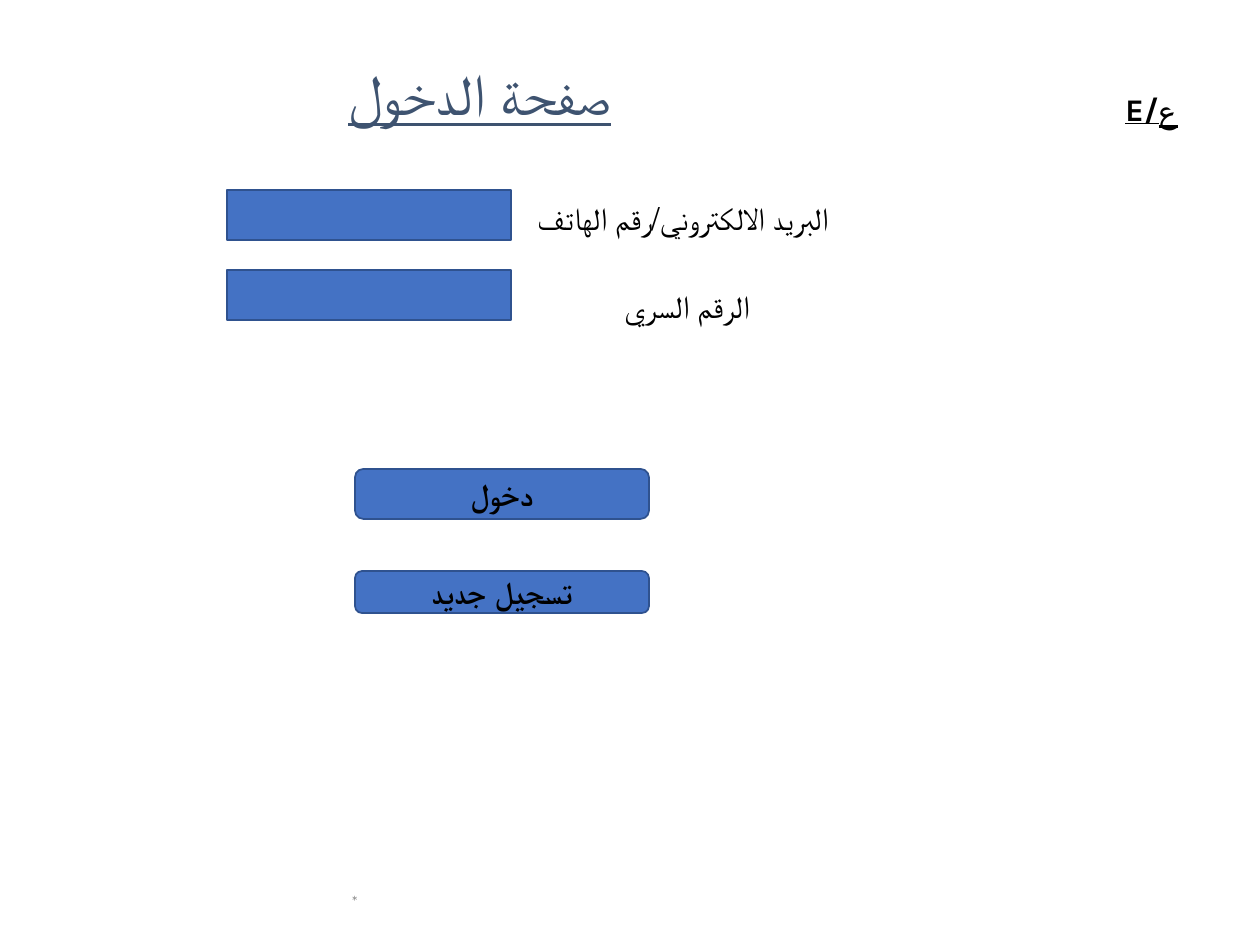
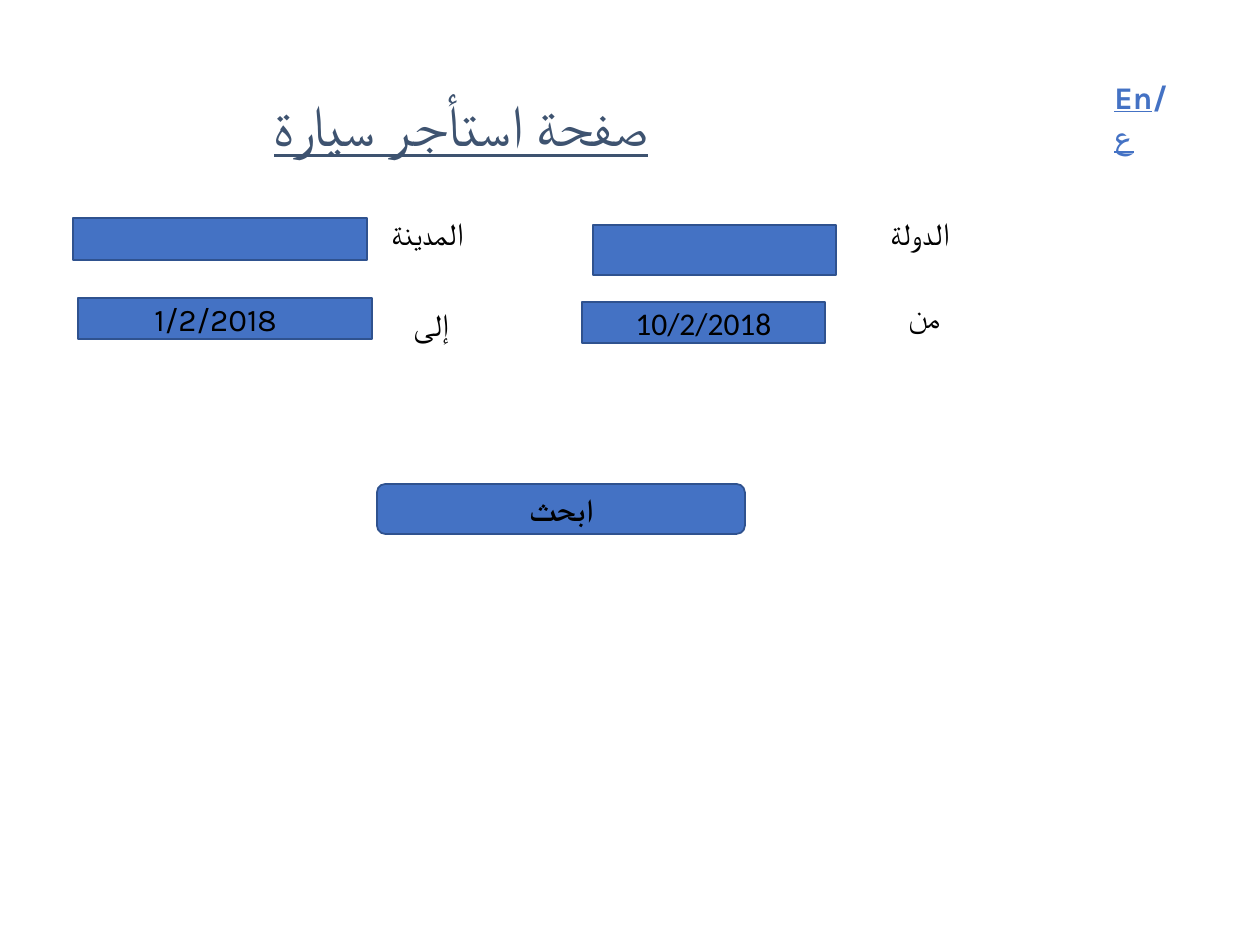
from dataclasses import dataclass

from pptx import Presentation
from pptx.dml.color import RGBColor
from pptx.enum.shapes import MSO_SHAPE as Preset
from pptx.enum.text import MSO_ANCHOR as Anchor, PP_ALIGN as Align
from pptx.util import Emu, Pt

EMU_PER_PX = 914400 / 126
ROW = 50


@dataclass(frozen=True)
class Theme:
    fill: RGBColor = RGBColor(0x44, 0x72, 0xC4)
    outline: RGBColor = RGBColor(0x2F, 0x52, 0x8F)
    title: RGBColor = RGBColor(0x3E, 0x53, 0x70)
    text: RGBColor = RGBColor(0, 0, 0)
    muted: RGBColor = RGBColor(0x89, 0x89, 0x89)
    heading_font: str = "Calibri"
    label_font: str = "Karla"
    title_size: int = 33
    body_size: int = 18
    footer_size: int = 9


THEME = Theme()


def px(*lengths):
    return [Emu(round(length * EMU_PER_PX)) for length in lengths]


def style_font(font, name, size, color, bold=False, underline=False):
    font.name = name
    font.size = Pt(size)
    font.color.rgb = color
    font.bold = bold
    font.underline = underline


def add_text_box(slide, box, anchor=Anchor.TOP):
    frame = slide.shapes.add_textbox(*px(*box)).text_frame
    frame.word_wrap = True
    frame.vertical_anchor = anchor
    return frame.paragraphs[0]


def add_title(slide, text, box):
    paragraph = add_text_box(slide, box, Anchor.MIDDLE)
    paragraph.text = text
    paragraph.line_spacing = 0.9
    style_font(paragraph.font, THEME.heading_font, THEME.title_size,
               THEME.title, underline=True)


def add_label(slide, text, left, top, width):
    paragraph = add_text_box(slide, (left, top, width, ROW))
    paragraph.text = text
    style_font(paragraph.font, THEME.label_font, THEME.body_size, THEME.text)


def add_language_switch(slide, parts, box, color):
    paragraph = add_text_box(slide, box)
    for text, underline in parts:
        run = paragraph.add_run()
        run.text = text
        style_font(run.font, THEME.label_font, THEME.body_size, color,
                   bold=True, underline=underline)


def add_footer_mark(slide, text, box):
    paragraph = add_text_box(slide, box, Anchor.MIDDLE)
    paragraph.text = text
    paragraph.alignment = Align.RIGHT
    style_font(paragraph.font, THEME.heading_font, THEME.footer_size, THEME.muted)


def add_field(slide, box, text="", preset=Preset.RECTANGLE, bold=False):
    shape = slide.shapes.add_shape(preset, *px(*box))
    shape.shadow.inherit = False
    shape.fill.solid()
    shape.fill.fore_color.rgb = THEME.fill
    shape.line.color.rgb = THEME.outline
    shape.line.width = Pt(1)
    if text:
        frame = shape.text_frame
        frame.word_wrap = True
        frame.vertical_anchor = Anchor.MIDDLE
        paragraph = frame.paragraphs[0]
        paragraph.text = text
        paragraph.alignment = Align.CENTER
        style_font(paragraph.font, THEME.heading_font, THEME.body_size,
                   THEME.text, bold=bold)


def add_button(slide, text, box):
    add_field(slide, box, text, Preset.ROUNDED_RECTANGLE, bold=True)


def build_login_page(slide):
    add_title(slide, "صفحة الدخول", (336, 18, 450, 158))
    add_footer_mark(slide, "*", (87, 876, 284, ROW))
    add_label(slide, "البريد الالكتروني/رقم الهاتف", 525, 193, 404)
    add_label(slide, "الرقم السري", 612, 281, 231)
    for top in (190, 270):
        add_field(slide, (227, top, 284, ROW))
    add_button(slide, "دخول", (355, 469, 294, ROW))
    add_button(slide, "تسجيل جديد", (355, 571, 294, 42))
    add_language_switch(slide, [("E/ع", True)], (1113, 84, 126, ROW), THEME.text)


def build_car_rental_page(slide):
    add_title(slide, "صفحة استأجر سيارة", (262, 49, 598, 158))
    add_language_switch(slide, [("En", True), ("/", False), ("ع", True)],
                        (1102, 72, 92, ROW), THEME.fill)
    add_field(slide, (73, 218, 294, 42))
    add_field(slide, (593, 225, 243, ROW))
    add_field(slide, (78, 298, 294, 41))
    add_field(slide, (582, 302, 243, 41), "10/2/2018")
    for text, left, top, width in (
        ("المدينة", 379, 208, 151),
        ("الدولة", 878, 208, 100),
        ("إلى", 401, 299, 74),
        ("1/2/2018", 142, 294, 171),
        ("من", 896, 291, 82),
    ):
        add_label(slide, text, left, top, width)
    add_button(slide, "ابحث", (377, 484, 368, ROW))


def main():
    presentation = Presentation()
    presentation.slide_width, presentation.slide_height = px(1260, 945)
    blank = presentation.slide_layouts[6]
    for build_page in (build_login_page, build_car_rental_page):
        build_page(presentation.slides.add_slide(blank))
    presentation.save("out.pptx")


if __name__ == "__main__":
    main()
